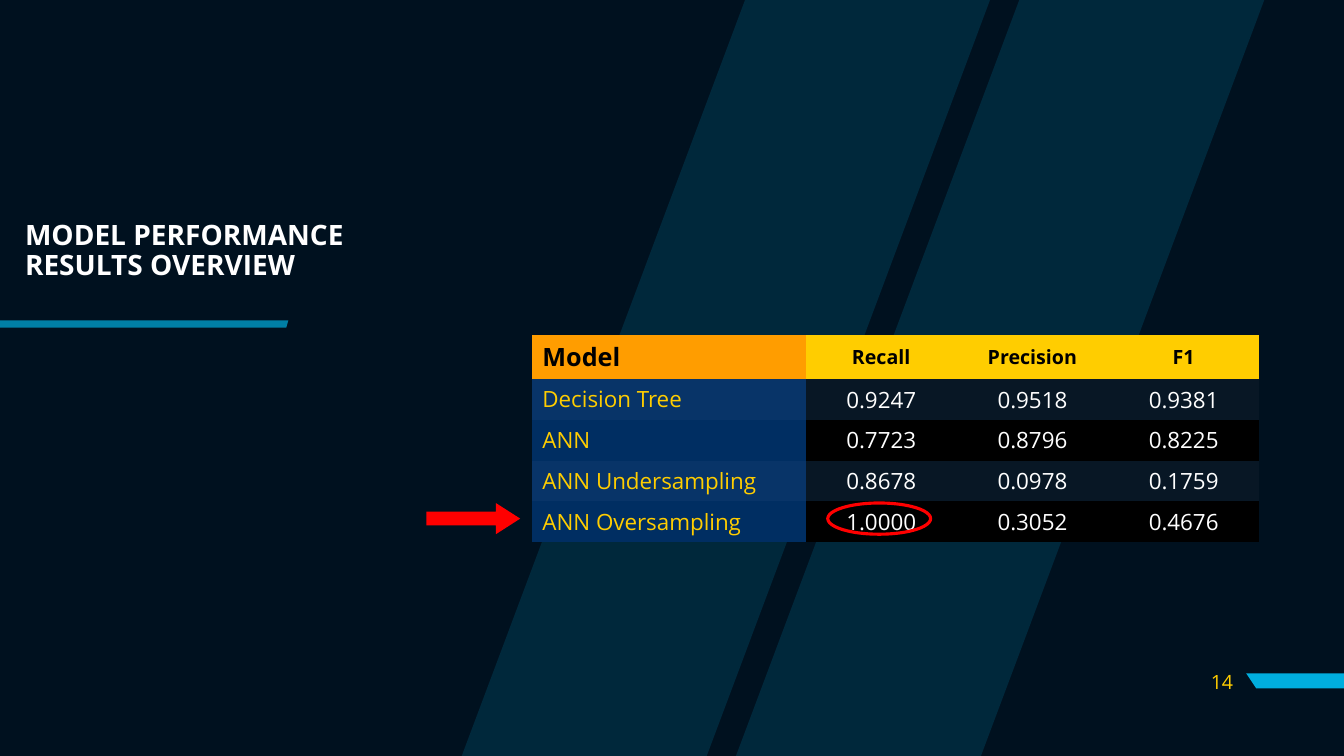
"""Build the model performance results slide."""
from dataclasses import dataclass

from lxml import etree
from pptx import Presentation
from pptx.dml.color import RGBColor
from pptx.enum import shapes, text
from pptx.oxml import ns
from pptx.util import Inches, Pt

FONT = "Open Sans"
WHITE, BLACK, RED, YELLOW, CYAN = "FFFFFF", "000000", "FF0000", "FFCD00", "00AEDE"
LEFT, CENTER, RIGHT = text.PP_ALIGN.LEFT, text.PP_ALIGN.CENTER, text.PP_ALIGN.RIGHT
MIDDLE, TOP = text.MSO_ANCHOR.MIDDLE, text.MSO_ANCHOR.TOP
NO_GRID_STYLE = "{2D5ABB26-0587-4C30-8999-92F81FD0307C}"


@dataclass
class Outline:
    contours: list
    opacity: int = 100


@dataclass
class Label:
    words: str
    box: tuple
    size: int
    color: str
    bold: bool = False
    align: object = LEFT
    spacing: float = 1.0


@dataclass
class Band:
    model_fill: str
    score_fill: str


def rgb(value: str) -> RGBColor:
    return RGBColor.from_string(value)


def apply(target, values: dict) -> None:
    for name, value in values.items():
        setattr(target, name, value)


def paint(shape, color: str, opacity: int = 100) -> None:
    shape.shadow.inherit = False
    shape.line.fill.background()
    shape.fill.solid()
    shape.fill.fore_color.rgb = rgb(color)
    if opacity < 100:
        fill_color = shape.fill._xPr.find(ns.qn("a:solidFill"))[0]
        etree.SubElement(fill_color, ns.qn("a:alpha"), val=str(opacity * 1000))


def draw_outline(slide, outline: Outline) -> None:
    first, *others = [[(Inches(x), Inches(y)) for x, y in contour] for contour in outline.contours]
    builder = slide.shapes.build_freeform(*first[0])
    builder.add_line_segments(first[1:])
    for contour in others:
        builder.move_to(*contour[0])
        builder.add_line_segments(contour[1:])
    paint(builder.convert_to_shape(), CYAN, outline.opacity)


def write(frame, words: str, align, size: int, color: str, bold: bool = False, spacing: float = 1.0) -> None:
    frame.text = words
    paragraph = frame.paragraphs[0]
    apply(paragraph, {"alignment": align, "line_spacing": spacing})
    for run in paragraph.runs:
        apply(run.font, {"name": FONT, "size": Pt(size), "bold": bold})
        run.font.color.rgb = rgb(color)


def draw_label(slide, label: Label) -> None:
    frame = slide.shapes.add_textbox(*map(Inches, label.box)).text_frame
    apply(frame, {"word_wrap": True, "vertical_anchor": MIDDLE})
    write(frame, label.words, label.align, label.size, label.color, label.bold, label.spacing)


def draw_scores(slide, rows: list, bands: list) -> None:
    box = map(Inches, (5.28, 3.32, 7.21, 2.06))
    graphic = slide.shapes.add_table(len(rows), len(rows[0]), *box)
    table = graphic.table
    apply(table, {"first_row": False, "horz_banding": False})
    table._tbl.tblPr.find(ns.qn("a:tableStyleId")).text = NO_GRID_STYLE
    for column, width in zip(table.columns, (2.71, 1.5, 1.5, 1.5)):
        column.width = Inches(width)
    for i, (row, band) in enumerate(zip(rows, bands)):
        header = i == 0
        table.rows[i].height = Inches(0.44 if header else 0.405)
        for j, words in enumerate(row):
            model = j == 0
            cell = table.cell(i, j)
            cell.vertical_anchor = TOP if model else MIDDLE
            cell.fill.solid()
            cell.fill.fore_color.rgb = rgb(band.model_fill if model else band.score_fill)
            size = (18 if model else 14) if header else 16
            color = BLACK if header else YELLOW if model else WHITE
            write(cell.text_frame, words, LEFT if model else CENTER, size, color, header)


def stripe(top_left: float, width: float = 2.43, slant: float = 2.81) -> list:
    return [(top_left, 0), (top_left - slant, 7.5),
            (top_left - slant + width, 7.5), (top_left + width, 0), (top_left, 0)]


OUTLINES = [
    Outline([stripe(10.11), stripe(7.39)], 15),
    Outline([[(13.33, 6.68), (13.33, 6.83), (12.46, 6.83), (12.36, 6.68)]]),
    Outline([[(0, 3.18), (0, 3.25), (2.84, 3.25), (2.86, 3.18)]], 70),
]
LABELS = [
    Label("MODEL PERFORMANCE\vRESULTS OVERVIEW", (0.15, 1.83, 10.02, 1.33), 20, WHITE, True, spacing=0.9),
    Label("14", (11.73, 6.56, 0.6, 0.4), 14, YELLOW, align=RIGHT),
]
ROWS = [
    ("Model", "Recall", "Precision", "F1"),
    ("Decision Tree", "0.9247", "0.9518", "0.9381"),
    ("ANN", "0.7723", "0.8796", "0.8225"),
    ("ANN Undersampling", "0.8678", "0.0978", "0.1759"),
    ("ANN Oversampling", "1.0000", "0.3052", "0.4676"),
]
BANDS = [Band("FF9D00", YELLOW)] + 2 * [Band("083468", "081725"), Band("002E62", BLACK)]


def main() -> None:
    presentation = Presentation()
    apply(presentation, {"slide_width": Inches(13.33), "slide_height": Inches(7.5)})
    slide = presentation.slides.add_slide(presentation.slide_layouts[6])
    slide.background.fill.solid()
    slide.background.fill.fore_color.rgb = rgb("00111F")
    for outline in OUTLINES:
        draw_outline(slide, outline)
    for label in LABELS:
        draw_label(slide, label)
    draw_scores(slide, ROWS, BANDS)

    arrow = slide.shapes.add_shape(shapes.MSO_SHAPE.RIGHT_ARROW, *map(Inches, (4.23, 4.99, 0.93, 0.31)))
    paint(arrow, RED)
    arrow.adjustments[0], arrow.adjustments[1] = 0.44, 0.78

    ring = slide.shapes.add_shape(shapes.MSO_SHAPE.OVAL, *map(Inches, (8.21, 4.99, 1.02, 0.31)))
    ring.shadow.inherit = False
    ring.fill.background()
    ring.line.color.rgb = rgb(RED)
    ring.line.width = Pt(2.25)
    presentation.save("out.pptx")


main()
